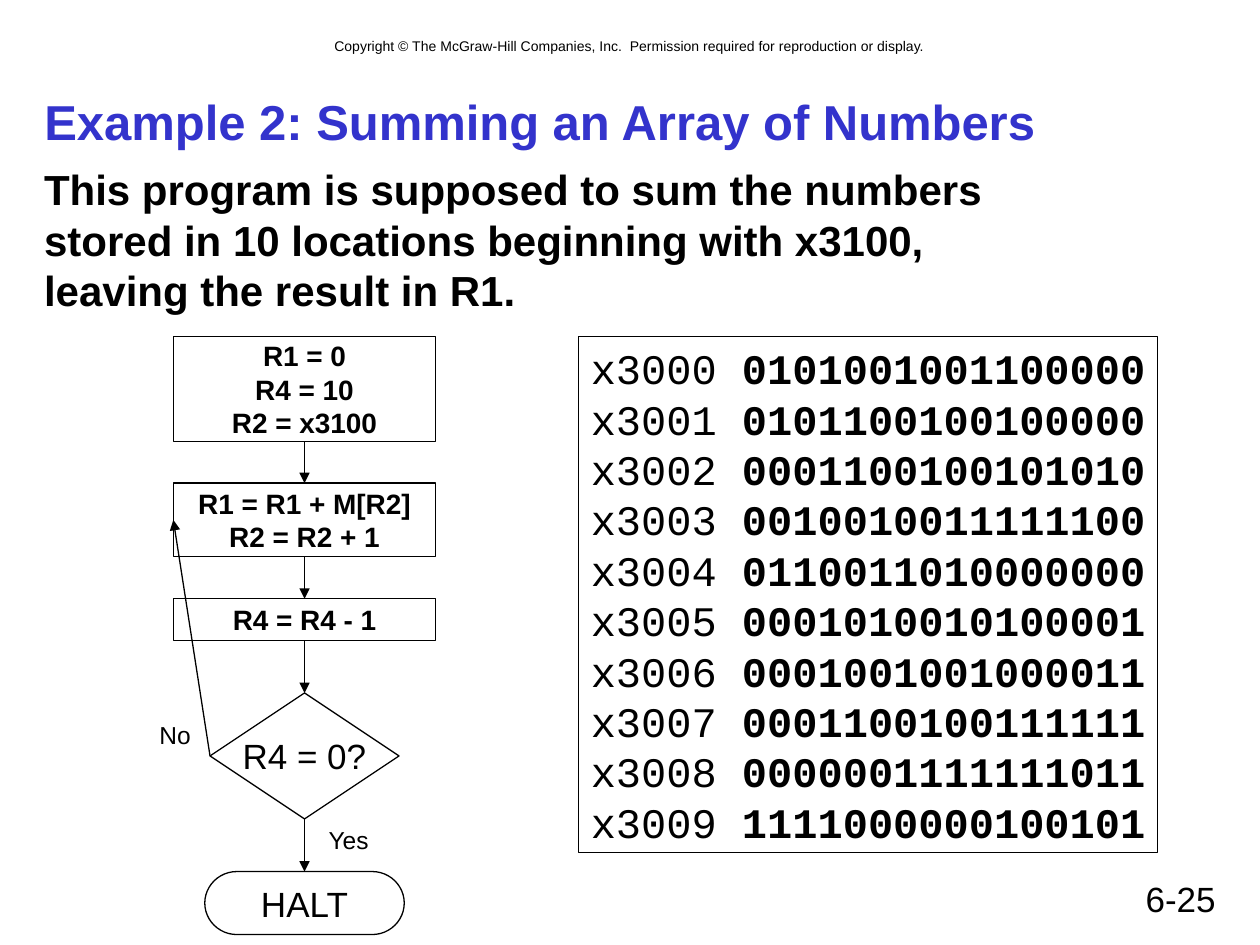
from dataclasses import dataclass
from itertools import pairwise

from pptx import Presentation
from pptx.dml.color import RGBColor
from pptx.enum.shapes import MSO_CONNECTOR as Connector, MSO_SHAPE as Preset
from pptx.enum.text import MSO_ANCHOR as Anchor, MSO_AUTO_SIZE as AutoSize, PP_ALIGN as Align
from pptx.oxml.ns import qn
from pptx.shapes.autoshape import Shape
from pptx.slide import Slide
from pptx.text.text import TextFrame
from pptx.util import Cm, Pt
from lxml.etree import SubElement


@dataclass(frozen=True)
class Theme:
    ink: RGBColor = RGBColor(0x00, 0x00, 0x00)
    heading: RGBColor = RGBColor(0x33, 0x33, 0xCC)
    sans: str = "Arial"
    mono: str = "Courier New"
    title: int = 28
    body: int = 24
    large: int = 20
    step: int = 16
    label: int = 14
    credit: int = 8
    line: float = 0.75
    leading: float = 1.2


@dataclass(frozen=True)
class Area:
    left: float
    top: float
    width: float
    height: float

    def lengths(self) -> tuple[Cm, Cm, Cm, Cm]:
        return Cm(self.left), Cm(self.top), Cm(self.width), Cm(self.height)


@dataclass(frozen=True)
class Node:
    text: str
    top: float
    width: float
    height: float
    preset: Preset = Preset.RECTANGLE
    size: int = Theme.step
    bold: bool = True


@dataclass(frozen=True)
class Label:
    text: str
    area: Area
    size: int
    align: Align = Align.CENTER
    bold: bool = False
    wrap: bool = True


THEME = Theme()
FLOW_AXIS = 6.14
TOP, LEFT, BOTTOM = 0, 1, 2

TITLE = "Example 2: Summing an Array of Numbers"
TITLE_AREA = Area(0.64, 1.69, 24.13, 1.48)
CODE_AREA = Area(11.66, 6.78, 11.68, 10.41)

LABELS = [
    Label("Copyright © The McGraw-Hill Companies, Inc.  Permission required for reproduction or display.",
          Area(1.69, 0.64, 22.01, 0.6), THEME.credit),
    Label("6-25", Area(18.2, 17.57, 6.56, 1.06), THEME.large, Align.RIGHT),
    Label("This program is supposed to sum the numbers\v"
          "stored in 10 locations beginning with x3100,\v"
          "leaving the result in R1.",
          Area(0.64, 3.18, 24.13, 13.76), THEME.body, Align.LEFT, bold=True),
    Label("No", Area(2.96, 14.39, 1.14, 0.85), THEME.label, wrap=False),
    Label("Yes", Area(6.35, 16.51, 1.36, 0.85), THEME.label, wrap=False),
]

NODES = [
    Node("R1 = 0\vR4 = 10\nR2 = x3100", 6.78, 5.29, 2.12),
    Node("R1 = R1 + M[R2]\nR2 = R2 + 1", 9.74, 5.29, 1.48),
    Node("R4 = R4 - 1", 12.07, 5.29, 0.85),
    Node("R4 = 0?", 13.97, 3.81, 2.54, Preset.FLOWCHART_DECISION, THEME.large, False),
    Node("HALT", 17.57, 4.02, 1.27, Preset.FLOWCHART_TERMINATOR, THEME.large, False),
]

FIRST_ADDRESS = 0x3000
INSTRUCTIONS = [
    "0101001001100000",
    "0101100100100000",
    "0001100100101010",
    "0010010011111100",
    "0110011010000000",
    "0001010010100001",
    "0001001001000011",
    "0001100100111111",
    "0000001111111011",
    "1111000000100101",
]


def format_text(frame: TextFrame, size: int, align: Align, bold: bool | None = None,
                name: str = THEME.sans, color: RGBColor = THEME.ink) -> None:
    frame.auto_size = AutoSize.NONE
    for para in frame.paragraphs:
        para.alignment = align
        para.line_spacing = Pt(size * THEME.leading)
        for span in para.runs:
            span.font.name = name
            span.font.size = Pt(size)
            span.font.color.rgb = color
            if bold is not None:
                span.font.bold = bold


def add_title(page: Slide) -> None:
    title = page.shapes.title
    title.left, title.top, title.width, title.height = TITLE_AREA.lengths()
    title.text_frame.text = TITLE
    title.text_frame.vertical_anchor = Anchor.MIDDLE
    format_text(title.text_frame, THEME.title, Align.LEFT, True, color=THEME.heading)


def add_label(page: Slide, label: Label) -> None:
    frame = page.shapes.add_textbox(*label.area.lengths()).text_frame
    frame.text = label.text
    frame.word_wrap = label.wrap
    format_text(frame, label.size, label.align, label.bold)


def add_outline(page: Slide, preset: Preset, area: Area) -> Shape:
    box = page.shapes.add_shape(preset, *area.lengths())
    box.shadow.inherit = False
    box.fill.background()
    box.line.color.rgb = THEME.ink
    box.line.width = Pt(THEME.line)
    frame = box.text_frame
    frame.word_wrap = False
    frame.margin_left = frame.margin_right = Cm(0.25)
    frame.margin_top = frame.margin_bottom = Cm(0.13)
    return box


def add_node(page: Slide, node: Node) -> Shape:
    area = Area(FLOW_AXIS - node.width / 2, node.top, node.width, node.height)
    box = add_outline(page, node.preset, area)
    box.text_frame.text = node.text
    box.text_frame.vertical_anchor = Anchor.MIDDLE
    format_text(box.text_frame, node.size, Align.CENTER, node.bold)
    return box


def add_arrow(page: Slide, source: Shape, source_side: int, target: Shape, target_side: int) -> None:
    arrow = page.shapes.add_connector(Connector.STRAIGHT, 0, 0, 0, 0)
    arrow.begin_connect(source, source_side)
    arrow.end_connect(target, target_side)
    arrow.line.color.rgb = THEME.ink
    arrow.line.width = Pt(THEME.line)
    SubElement(arrow.line._get_or_add_ln(), qn("a:tailEnd"), type="triangle")
    SubElement(arrow._element.spPr, qn("a:effectLst"))


def add_code(page: Slide) -> None:
    frame = add_outline(page, Preset.RECTANGLE, CODE_AREA).text_frame
    frame.vertical_anchor = Anchor.TOP
    frame.text = "\n".join(f"x{FIRST_ADDRESS + row:X}" for row in range(len(INSTRUCTIONS)))
    for para, bits in zip(frame.paragraphs, INSTRUCTIONS):
        span = para.add_run()
        span.text = f" {bits}"
        span.font.bold = True
    format_text(frame, THEME.body, Align.LEFT, name=THEME.mono)


def main() -> None:
    deck = Presentation()
    deck.slide_width, deck.slide_height = Cm(25.4), Cm(19.05)
    page = deck.slides.add_slide(deck.slide_layouts[5])
    add_title(page)
    for label in LABELS:
        add_label(page, label)
    boxes = [add_node(page, node) for node in NODES]
    for upper, lower in pairwise(boxes):
        add_arrow(page, upper, BOTTOM, lower, TOP)
    add_arrow(page, boxes[3], LEFT, boxes[1], LEFT)
    add_code(page)
    deck.save("out.pptx")


if __name__ == "__main__":
    main()
